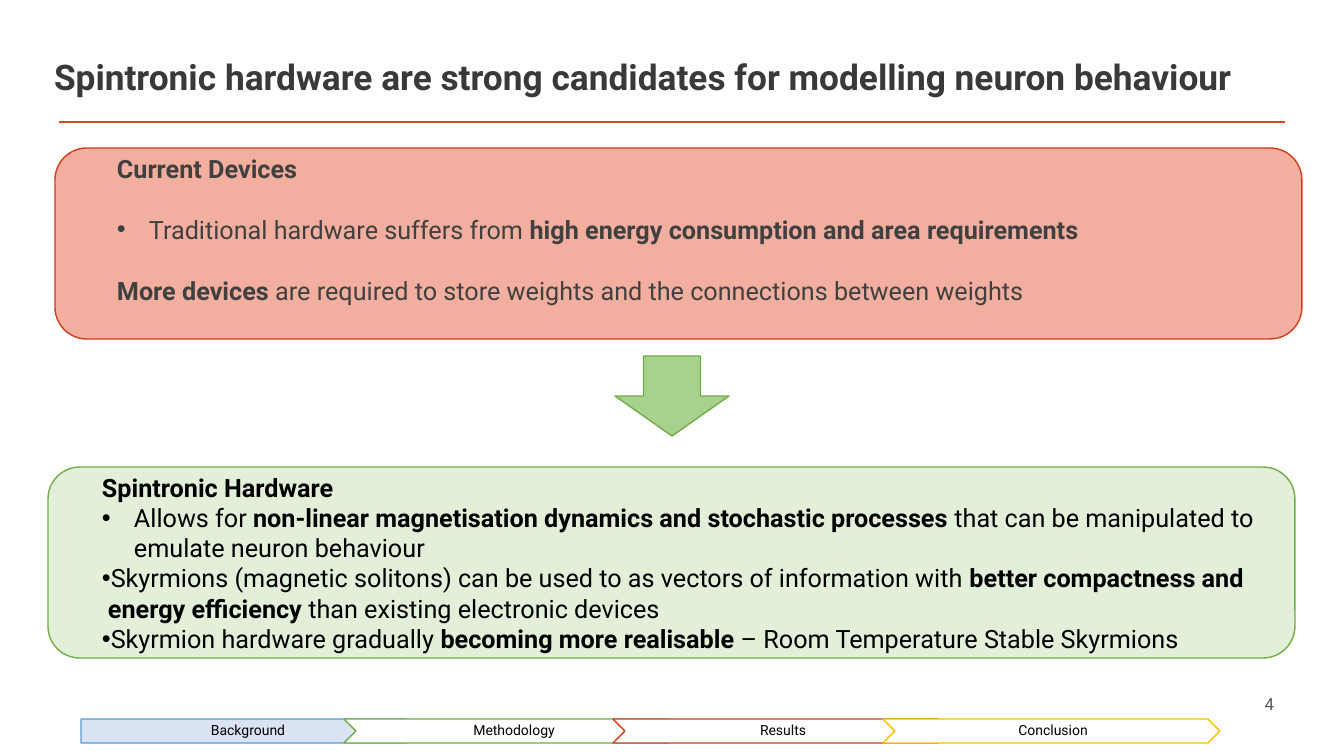
from dataclasses import dataclass

from lxml.etree import SubElement
from pptx import Presentation
from pptx.dml.color import RGBColor
from pptx.enum.shapes import MSO_CONNECTOR, MSO_SHAPE
from pptx.enum.text import MSO_ANCHOR, MSO_AUTO_SIZE, PP_ALIGN
from pptx.oxml.ns import qn
from pptx.util import Emu, Pt

FONT = "Roboto"
PIXELS_PER_INCH = 100.8
COLOURS = {
    "title": "3B3838", "rule": "D24726", "grey": "404040", "number": "595959",
    "black": "000000", "white": "FFFFFF", "pink": "F2AE9E", "red": "CF3D1C",
    "pale green": "E2F0D9", "mid green": "A9D18E", "green": "70AD47",
    "pale blue": "DAE3F3", "blue": "5B9BD5", "yellow": "FFC000",
}


@dataclass(frozen=True)
class Box:
    left: int
    top: int
    width: int
    height: int


@dataclass(frozen=True)
class Outline:
    kind: MSO_SHAPE
    box: Box
    fill: str
    line: str


@dataclass(frozen=True)
class Line:
    """A paragraph of (text, bold) runs; a margin makes it a bullet."""
    runs: tuple
    margin: int | None = None


@dataclass(frozen=True)
class Step:
    label: str
    outline: Outline
    label_box: Box


@dataclass(frozen=True)
class TextStyle:
    size: float
    colour: str
    align: PP_ALIGN = PP_ALIGN.LEFT
    anchor: MSO_ANCHOR = MSO_ANCHOR.TOP
    insets: tuple = (10, 5, 10, 5)
    line_spacing: float = 1.0
    before: int = 0
    after: int = 0


PANELS = (
    Outline(MSO_SHAPE.ROUNDED_RECTANGLE, Box(48, 467, 1247, 191), "pale green", "green"),
    Outline(MSO_SHAPE.ROUNDED_RECTANGLE, Box(55, 148, 1247, 191), "pink", "red"),
    Outline(MSO_SHAPE.DOWN_ARROW, Box(615, 356, 114, 80), "mid green", "green"),
)

CURRENT_DEVICES = (
    Line((("Current Devices", True),)),
    Line((("Traditional hardware suffers from ", False),
          ("high energy consumption and area requirements", True)), margin=32),
    Line((("More devices", True),
          (" are required to store weights and the connections between weights", False))),
)

SPINTRONIC_HARDWARE = (
    Line((("Spintronic Hardware", True),)),
    Line((("Allows for ", False),
          ("non-linear magnetisation dynamics and stochastic processes", True),
          (" that can be manipulated to emulate neuron behaviour", False)), margin=32),
    Line((("Skyrmions (magnetic solitons) can be used to as vectors of information with ", False),
          ("better compactness and energy efficiency", True),
          (" than existing electronic devices", False)), margin=6),
    Line((("Skyrmion hardware gradually ", False),
          ("becoming more realisable ", True),
          ("– Room Temperature Stable Skyrmions", False)), margin=6),
)


def make_step(label: str, left: int, line: str, first: bool = False) -> Step:
    kind = MSO_SHAPE.PENTAGON if first else MSO_SHAPE.CHEVRON
    fill = "pale blue" if first else "white"
    label_box = Box(left, 719, 331, 24) if first else Box(left + 12, 719, 313, 24)
    return Step(label, Outline(kind, Box(left, 719, 337, 24), fill, line), label_box)


STEPS = (
    make_step("Background", 81, "blue", first=True),
    make_step("Methodology", 344, "green"),
    make_step("Results", 613, "red"),
    make_step("Conclusion", 883, "yellow"),
)


def px(value: int) -> Emu:
    return Emu(round(value * 914400 / PIXELS_PER_INCH))


def colour(name: str) -> RGBColor:
    return RGBColor.from_string(COLOURS[name])


def edges(box: Box) -> tuple:
    return px(box.left), px(box.top), px(box.width), px(box.height)


def draw_outline(slide, outline: Outline) -> None:
    shape = slide.shapes.add_shape(outline.kind, *edges(outline.box))
    shape.shadow.inherit = False
    shape.fill.solid()
    shape.fill.fore_color.rgb = colour(outline.fill)
    shape.line.color.rgb = colour(outline.line)
    shape.line.width = Pt(1)


def add_bullet(paragraph, margin: int) -> None:
    properties = paragraph._p.get_or_add_pPr()
    properties.set("marL", str(px(margin)))
    properties.set("indent", str(px(-32)))
    SubElement(properties, qn("a:buFont"), typeface="Arial")
    SubElement(properties, qn("a:buChar"), char="•")


def write_text(frame, lines: tuple, style: TextStyle) -> None:
    frame.word_wrap = True
    frame.auto_size = MSO_AUTO_SIZE.NONE
    frame.vertical_anchor = style.anchor
    (frame.margin_left, frame.margin_top,
     frame.margin_right, frame.margin_bottom) = map(px, style.insets)
    for index, line in enumerate(lines):
        paragraph = frame.add_paragraph() if index else frame.paragraphs[0]
        paragraph.alignment = style.align
        paragraph.line_spacing = style.line_spacing
        paragraph.space_before = Pt(style.before if index else 0)
        paragraph.space_after = Pt(style.after)
        if line.margin is not None:
            add_bullet(paragraph, line.margin)
        for text, bold in line.runs:
            run = paragraph.add_run()
            run.text = text
            run.font.name = FONT
            run.font.size = Pt(style.size)
            run.font.bold = bold
            run.font.color.rgb = colour(style.colour)


def add_text(slide, box: Box, lines: tuple, style: TextStyle) -> None:
    write_text(slide.shapes.add_textbox(*edges(box)).text_frame, lines, style)


def draw_title(slide) -> None:
    title = slide.shapes.title
    title.left, title.top, title.width, title.height = edges(Box(44, 49, 1306, 61))
    heading = "Spintronic hardware are strong candidates for modelling neuron behaviour"
    write_text(title.text_frame, (Line(((heading, True),)),),
               TextStyle(25.2, "title", anchor=MSO_ANCHOR.MIDDLE, line_spacing=0.9))
    rule = slide.shapes.add_connector(
        MSO_CONNECTOR.STRAIGHT, px(59), px(122), px(1285), px(122))
    rule.line.color.rgb = colour("rule")
    rule.line.width = Pt(2)
    SubElement(rule._element.spPr, qn("a:effectLst"))


def main() -> None:
    presentation = Presentation()
    presentation.slide_width, presentation.slide_height = px(1344), px(756)
    slide = presentation.slides.add_slide(presentation.slide_layouts[5])
    draw_title(slide)
    for panel in PANELS:
        draw_outline(slide, panel)
    add_text(slide, Box(107, 148, 1195, 138), CURRENT_DEVICES,
             TextStyle(18, "grey", before=10, after=12))
    add_text(slide, Box(92, 467, 1226, 193), SPINTRONIC_HARDWARE, TextStyle(18, "black"))
    add_text(slide, Box(923, 684, 361, 40), (Line((("4", False),)),),
             TextStyle(12, "number", PP_ALIGN.RIGHT, MSO_ANCHOR.MIDDLE))
    label_style = TextStyle(10, "black", PP_ALIGN.CENTER, MSO_ANCHOR.MIDDLE,
                            insets=(4, 3, 1, 3), line_spacing=0.9)
    for step in STEPS:
        draw_outline(slide, step.outline)
        add_text(slide, step.label_box, (Line(((step.label, False),)),), label_style)
    presentation.save("out.pptx")


if __name__ == "__main__":
    main()
